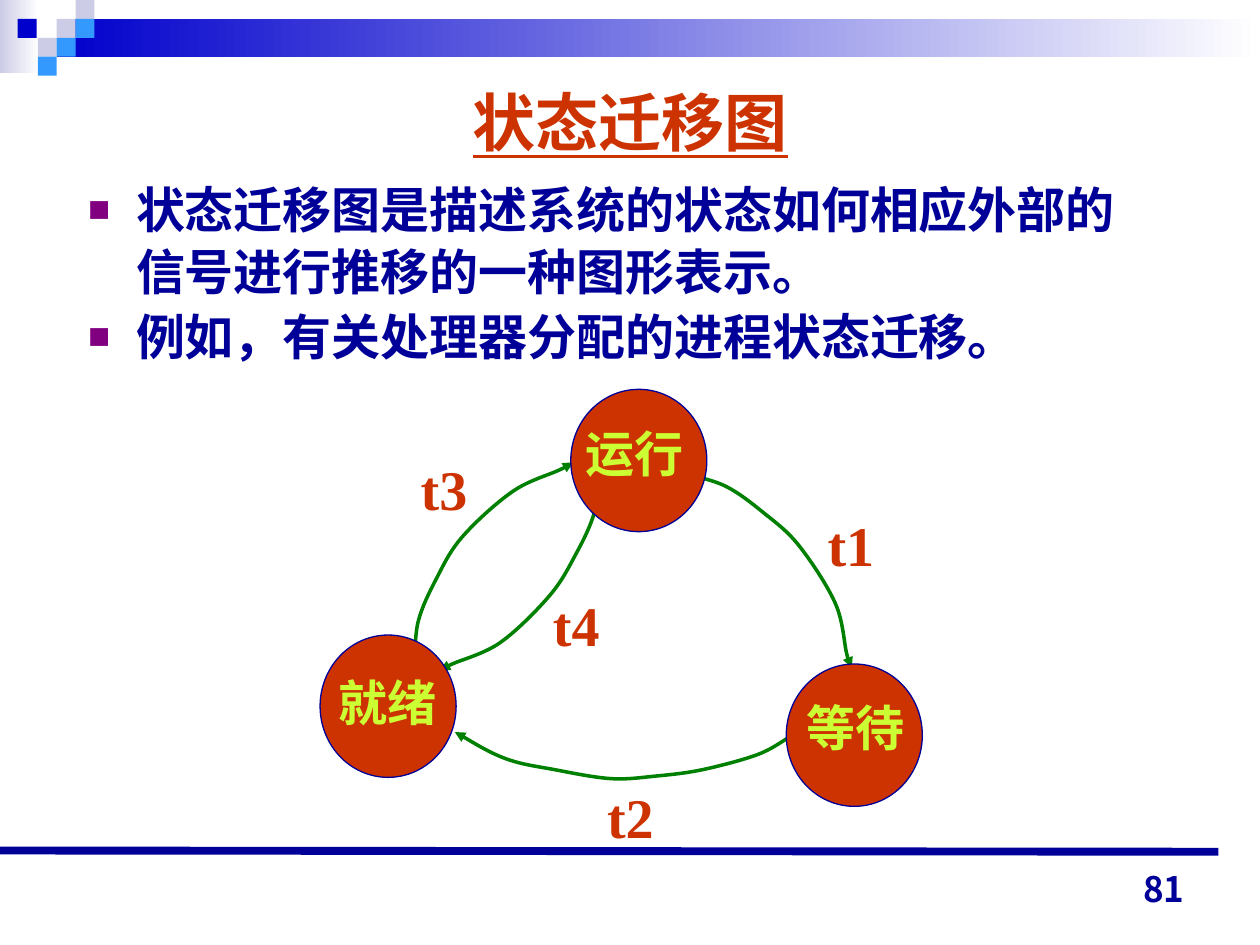
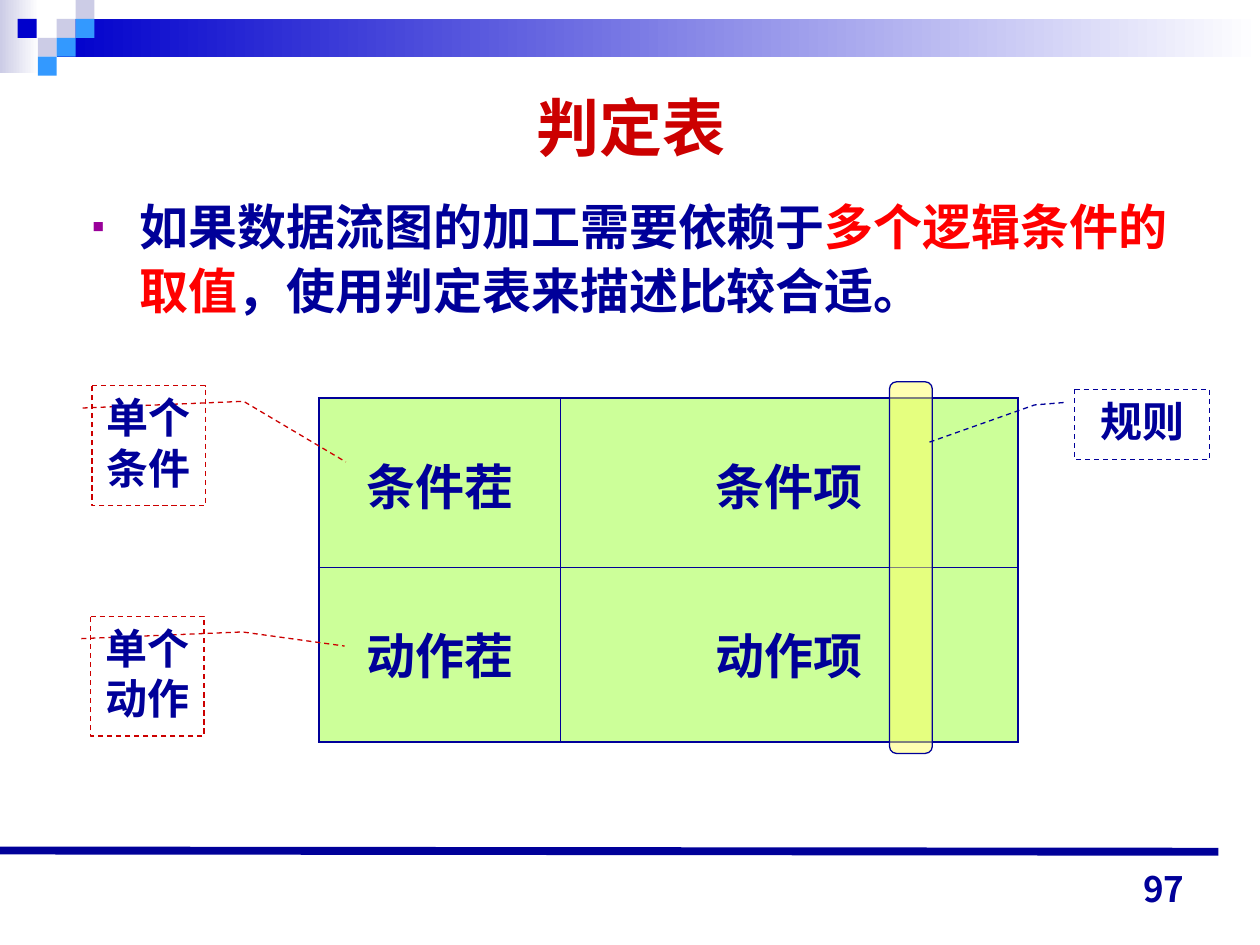
import pptx
import pptx.util
import pptx.dml.color
import pptx.enum.dml
import pptx.enum.shapes
import pptx.enum.text
import pptx.oxml
import pptx.oxml.ns

Inches = pptx.util.Inches
Pt = pptx.util.Pt
RGBColor = pptx.dml.color.RGBColor
SHAPE = pptx.enum.shapes.MSO_SHAPE
ALIGN = pptx.enum.text.PP_ALIGN
ANCHOR = pptx.enum.text.MSO_ANCHOR
AUTO_SIZE = pptx.enum.text.MSO_AUTO_SIZE
qn = pptx.oxml.ns.qn
A_NS = 'xmlns:a="http://schemas.openxmlformats.org/drawingml/2006/main"'

NAVY = RGBColor(0x00, 0x00, 0x99)
BLUE = RGBColor(0x00, 0x00, 0xCC)
SKY = RGBColor(0x33, 0x99, 0xFF)
LAVENDER = RGBColor(0xCC, 0xCC, 0xE6)
WHITE = RGBColor(0xFF, 0xFF, 0xFF)
BRICK = RGBColor(0xCC, 0x33, 0x00)
CRIMSON = RGBColor(0xCC, 0x00, 0x00)
RED = RGBColor(0xFF, 0x00, 0x00)
GREEN = RGBColor(0x00, 0x80, 0x00)
LIME = RGBColor(0xCC, 0xFF, 0x33)
PALE_GREEN = RGBColor(0xCC, 0xFF, 0x99)
YELLOW = RGBColor(0xFF, 0xFF, 0x66)
PURPLE = RGBColor(0x80, 0x00, 0x80)
VIOLET = RGBColor(0x99, 0x00, 0x99)


def write_spans(para, spans, size, font, align=ALIGN.LEFT):
    """Fill a paragraph with bold (text, colour) spans."""
    para.alignment = align
    for text, color in spans:
        span = para.add_run()
        span.text = text
        span.font.size = Pt(size)
        span.font.name = font
        span.font.bold = True
        span.font.color.rgb = color


def style_shape(shape, fill=None, line=None, width=0.75):
    """Set plain fill and line; None leaves the part empty."""
    shape.shadow.inherit = False
    if fill is None:
        shape.fill.background()
    else:
        shape.fill.solid()
        shape.fill.fore_color.rgb = fill
    if line is None:
        shape.line.fill.background()
    else:
        shape.line.color.rgb = line
        shape.line.width = Pt(width)


deck = pptx.Presentation()
deck.slide_width, deck.slide_height = Inches(10), Inches(7.5)
layout = deck.slide_layouts[1]

# Pages: number, title, and body with place, bullet and spaced paragraphs
pages = [
    {"number": "81", "title": "状态迁移图", "color": BRICK, "underline": True,
     "title_at": (0.5, 0.51, 9, 0.91), "body_at": (0.6, 1.35, 8.5, 1.76),
     "bullet": ("■", PURPLE), "paragraphs": [
         (1.05, [("状态迁移图是描述系统的状态如何相应外部的信号进行推移的一种图形表示。", NAVY)]),
         (1.0, [("例如，有关处理器分配的进程状态迁移。", NAVY)])]},
    {"number": "97", "title": "判定表", "color": CRIMSON, "underline": False,
     "title_at": (0.51, 0.5, 9, 1), "body_at": (0.63, 1.46, 9, 4.25),
     "bullet": ("▪", VIOLET), "paragraphs": [
         (1.1, [("如果数据流图的加工需要依赖于", NAVY), ("多个逻辑条件的取值", RED),
                ("，使用判定表来描述比较合适。", NAVY)])]},
]
slides = [deck.slides.add_slide(layout) for page in pages]
state_slide, table_slide = slides

# Shared decoration: drawn once, then moved to the layout
decoration = []
for left, top, width, height, start in [(0, 0, 0.31, 0.58, LAVENDER),
                                        (0.45, 0.15, 9.55, 0.3, BLUE)]:
    band = state_slide.shapes.add_shape(
        SHAPE.RECTANGLE, Inches(left), Inches(top), Inches(width), Inches(height))
    style_shape(band)
    band.fill.gradient()
    band.fill.gradient_angle = 0
    for stop, position, color in zip(band.fill.gradient_stops, (0, 1), (start, WHITE)):
        stop.position = position
        stop.color.rgb = color
    decoration.append(band)
for left, top, color in [(0.45, 0.15, LAVENDER), (0.6, 0, LAVENDER), (0.6, 0.15, SKY),
                         (0.3, 0.3, LAVENDER), (0.14, 0.15, BLUE),
                         (0.45, 0.3, SKY), (0.3, 0.45, SKY)]:
    square = state_slide.shapes.add_shape(
        SHAPE.RECTANGLE, Inches(left), Inches(top), Inches(0.15), Inches(0.15))
    style_shape(square, color)
    decoration.append(square)
rule = state_slide.shapes.add_connector(
    pptx.enum.shapes.MSO_CONNECTOR.STRAIGHT,
    Inches(0), Inches(6.75), Inches(9.67), Inches(6.76))
rule.line.color.rgb = NAVY
rule.line.width = Pt(4.5)
rule.element.spPr.append(pptx.oxml.parse_xml(f"<a:effectLst {A_NS}/>"))
decoration.append(rule)
for number, shape in enumerate(decoration, 101):
    shape.element.xpath(".//p:cNvPr")[0].set("id", str(number))
    layout.shapes.element.append(shape.element)

# Titles, lists and page numbers
for slide, page in zip(slides, pages):
    title, body = slide.shapes.title, slide.placeholders[1]
    number_box = slide.shapes.add_textbox(
        Inches(7.17), Inches(6.77), Inches(2.33), Inches(0.5))
    for box, place in [(title, page["title_at"]), (body, page["body_at"])]:
        box.left, box.top, box.width, box.height = [Inches(length) for length in place]
    for box, anchor in [(title, ANCHOR.MIDDLE), (body, ANCHOR.TOP),
                        (number_box, ANCHOR.BOTTOM)]:
        box.text_frame.word_wrap = True
        box.text_frame.auto_size = AUTO_SIZE.NONE
        box.text_frame.vertical_anchor = anchor
    write_spans(title.text_frame.paragraphs[0], [(page["title"], page["color"])],
                36, "Arial", ALIGN.CENTER)
    title.text_frame.paragraphs[0].runs[0].font.underline = page["underline"]
    write_spans(number_box.text_frame.paragraphs[0], [(page["number"], NAVY)],
                20, "Noto Sans CJK JP", ALIGN.RIGHT)
    symbol, symbol_color = page["bullet"]
    for index, (spacing, spans) in enumerate(page["paragraphs"]):
        frame = body.text_frame
        para = frame.add_paragraph() if index else frame.paragraphs[0]
        properties = para._p.get_or_add_pPr()
        properties.set("marL", str(Inches(0.38)))
        properties.set("indent", str(-Inches(0.38)))
        for bullet_xml in (
                f'<a:buClr {A_NS}><a:srgbClr val="{symbol_color}"/></a:buClr>',
                f'<a:buSzPct {A_NS} val="75000"/>',
                f'<a:buFont {A_NS} typeface="Arial"/>',
                f'<a:buChar {A_NS} char="{symbol}"/>'):
            properties.append(pptx.oxml.parse_xml(bullet_xml))
        para.line_spacing = spacing
        para.space_before = Pt(3.5 if index else 0)
        write_spans(para, spans, 28, "Arial")

# State diagram: arrows as smooth curves through points
arrows = [
    [(5.44, 3.76), (5.76, 3.86), (6.06, 4.07), (6.34, 4.33), (6.63, 4.79),
     (6.72, 5.19), (6.76, 5.3)],
    [(3.29, 5.26), (3.32, 4.93), (3.46, 4.6), (3.67, 4.26), (4.07, 3.9),
     (4.44, 3.73), (4.55, 3.67)],
    [(4.75, 3.73), (4.72, 4.06), (4.57, 4.4), (4.36, 4.73), (3.97, 5.1),
     (3.59, 5.27), (3.49, 5.32)],
    [(6.25, 5.86), (6.01, 5.99), (5.57, 6.11), (5.2, 6.16), (4.85, 6.18),
     (4.41, 6.11), (4.01, 6.02), (3.61, 5.81)],
]
arrow_shapes = []
for points in arrows:
    padded = [points[0]] + points + [points[-1]]
    handles = []
    for before, start, end, after in zip(padded, padded[1:], padded[2:], padded[3:]):
        handles.append([Inches(s + (e - b) / 6) for b, s, e in zip(before, start, end)])
        handles.append([Inches(e - (a - s) / 6) for s, e, a in zip(start, end, after)])
        handles.append([Inches(e) for e in end])
    builder = state_slide.shapes.build_freeform(Inches(points[0][0]), Inches(points[0][1]))
    builder.add_line_segments(handles, close=False)
    arrow = builder.convert_to_shape()
    # Join every three line segments into one Bézier segment
    segments = arrow.element.xpath(".//a:lnTo")
    for first, second, third in zip(segments[::3], segments[1::3], segments[2::3]):
        bezier = pptx.oxml.parse_xml(f"<a:cubicBezTo {A_NS}/>")
        first.addprevious(bezier)
        for segment in (first, second, third):
            bezier.append(segment[0])
            segment.getparent().remove(segment)
    style_shape(arrow, None, GREEN, 2)
    arrow.line._get_or_add_ln().append(
        pptx.oxml.parse_xml(f'<a:tailEnd {A_NS} type="triangle"/>'))

# State circles, then their labels and the transition names
for left, top in [(6.24, 5.27), (2.54, 5.04), (4.53, 3.09)]:
    circle = state_slide.shapes.add_shape(
        SHAPE.OVAL, Inches(left), Inches(top), Inches(1.08), Inches(1.13))
    style_shape(circle, BRICK, NAVY)
transitions = [("t2", 4.72, 6.16), ("t3", 3.24, 3.56), ("t4", 4.29, 4.64), ("t1", 6.47, 4)]
states = [("运行", 4.55, 3.31), ("就绪", 2.59, 5.29), ("等待", 6.3, 5.49)]
for labels, width, height, size, color in [(transitions, 0.57, 0.64, 32, BRICK),
                                           (states, 0.99, 0.57, 28, LIME)]:
    for text, left, top in labels:
        label = state_slide.shapes.add_textbox(
            Inches(left), Inches(top), Inches(width), Inches(height))
        label.text_frame.word_wrap = False
        label.text_frame.auto_size = AUTO_SIZE.SHAPE_TO_FIT_TEXT
        write_spans(label.text_frame.paragraphs[0], [(text, color)], size, "Times New Roman")

# Decision table: thick outer and thin inner borders
rows = [["条件茬", "条件项"], ["动作茬", "动作项"]]
table = table_slide.shapes.add_table(
    2, 2, Inches(2.53), Inches(3.16), Inches(5.55), Inches(2.73)).table
table.first_row = table.horz_banding = False
for index, (width, height) in enumerate([(1.92, 1.34), (3.63, 1.39)]):
    table.columns[index].width = Inches(width)
    table.rows[index].height = Inches(height)
for row, texts in enumerate(rows):
    for column, text in enumerate(texts):
        cell = table.cell(row, column)
        cell.margin_top = Inches(0.4)
        cell.fill.solid()
        cell.fill.fore_color.rgb = PALE_GREEN
        write_spans(cell.text_frame.paragraphs[0], [(text, NAVY)], 28, "Arial", ALIGN.CENTER)
        outer_sides = [("L", column == 0), ("R", column == 1), ("T", row == 0), ("B", row == 1)]
        for index, (side, outer) in enumerate(outer_sides):
            border = pptx.oxml.parse_xml(
                f'<a:ln{side} {A_NS} w="{Pt(1.08 if outer else 0.45)}"><a:solidFill>'
                f'<a:srgbClr val="{NAVY}"/></a:solidFill></a:ln{side}>')
            cell._tc.get_or_add_tcPr().insert(index, border)

# Translucent bar marking one rule
rule_bar = table_slide.shapes.add_shape(
    SHAPE.ROUNDED_RECTANGLE, Inches(7.06), Inches(3.03), Inches(0.34), Inches(2.95))
style_shape(rule_bar, YELLOW, NAVY)
fill_color = rule_bar.element.spPr.find(qn("a:solidFill"))[0]
fill_color.append(pptx.oxml.parse_xml(f'<a:alpha {A_NS} val="50000"/>'))

# Dashed callouts
callouts = [
    ("规则", NAVY, (8.53, 3.09, 1.07, 0.56), (0.222, -0.298, 0.759, -1.092)),
    ("单个条件", CRIMSON, (0.73, 3.06, 0.9, 0.95), (0.132, 1.338, 0.639, 2.24)),
    ("单个动作", CRIMSON, (0.72, 4.89, 0.9, 0.95), (0.132, 1.338, 0.25, 2.24)),
]
for text, color, place, bend_and_tip in callouts:
    callout = table_slide.shapes.add_shape(
        SHAPE.LINE_CALLOUT_2, *[Inches(length) for length in place])
    for index, value in enumerate((0.188, -0.083) + bend_and_tip):
        callout.adjustments[index] = round(value, 3)
    style_shape(callout, None, color)
    callout.line.dash_style = pptx.enum.dml.MSO_LINE.DASH
    callout.text_frame.word_wrap = True
    callout.text_frame.vertical_anchor = ANCHOR.TOP
    write_spans(callout.text_frame.paragraphs[0], [(text, NAVY)],
                24, "Times New Roman", ALIGN.CENTER)

deck.save("out.pptx")
